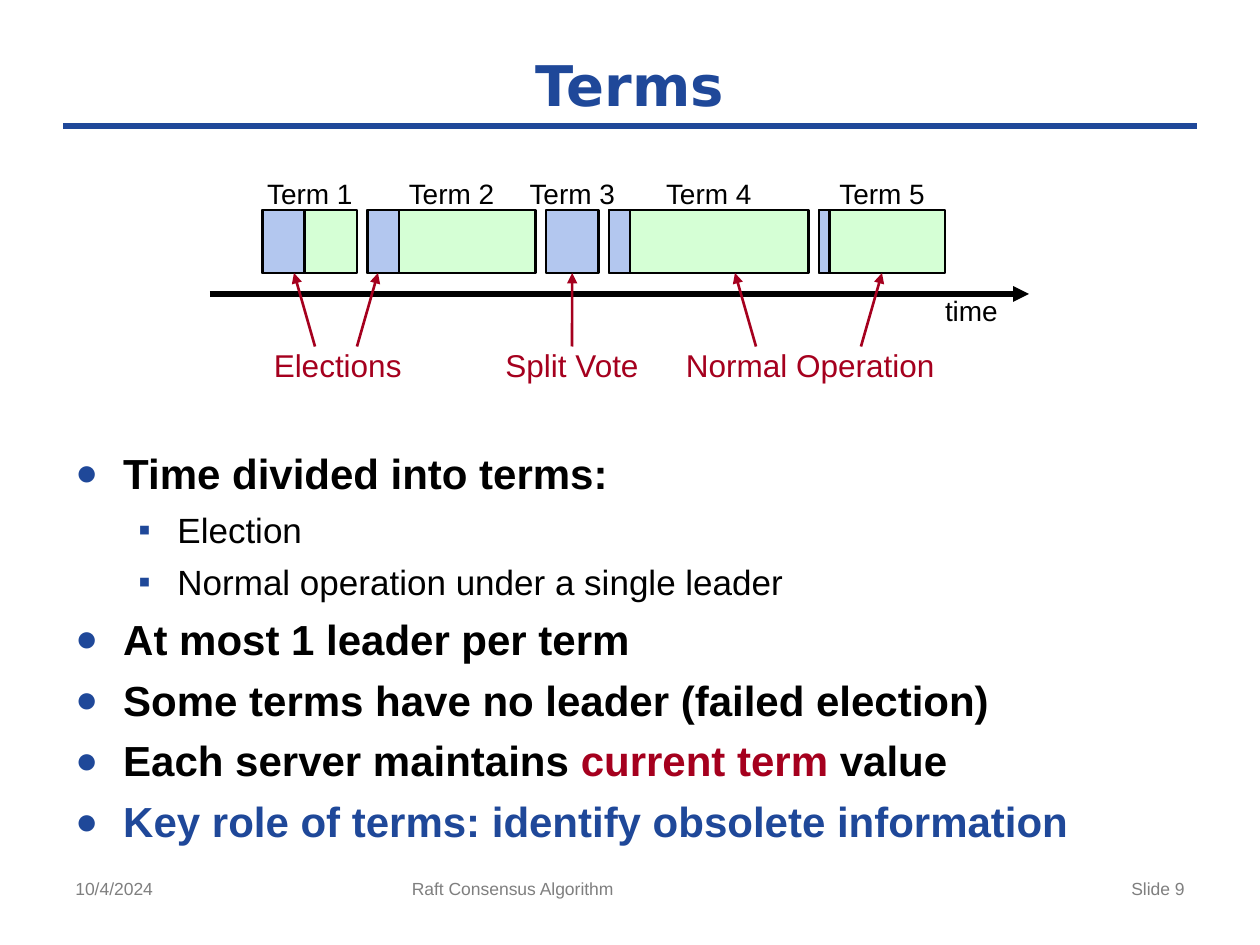
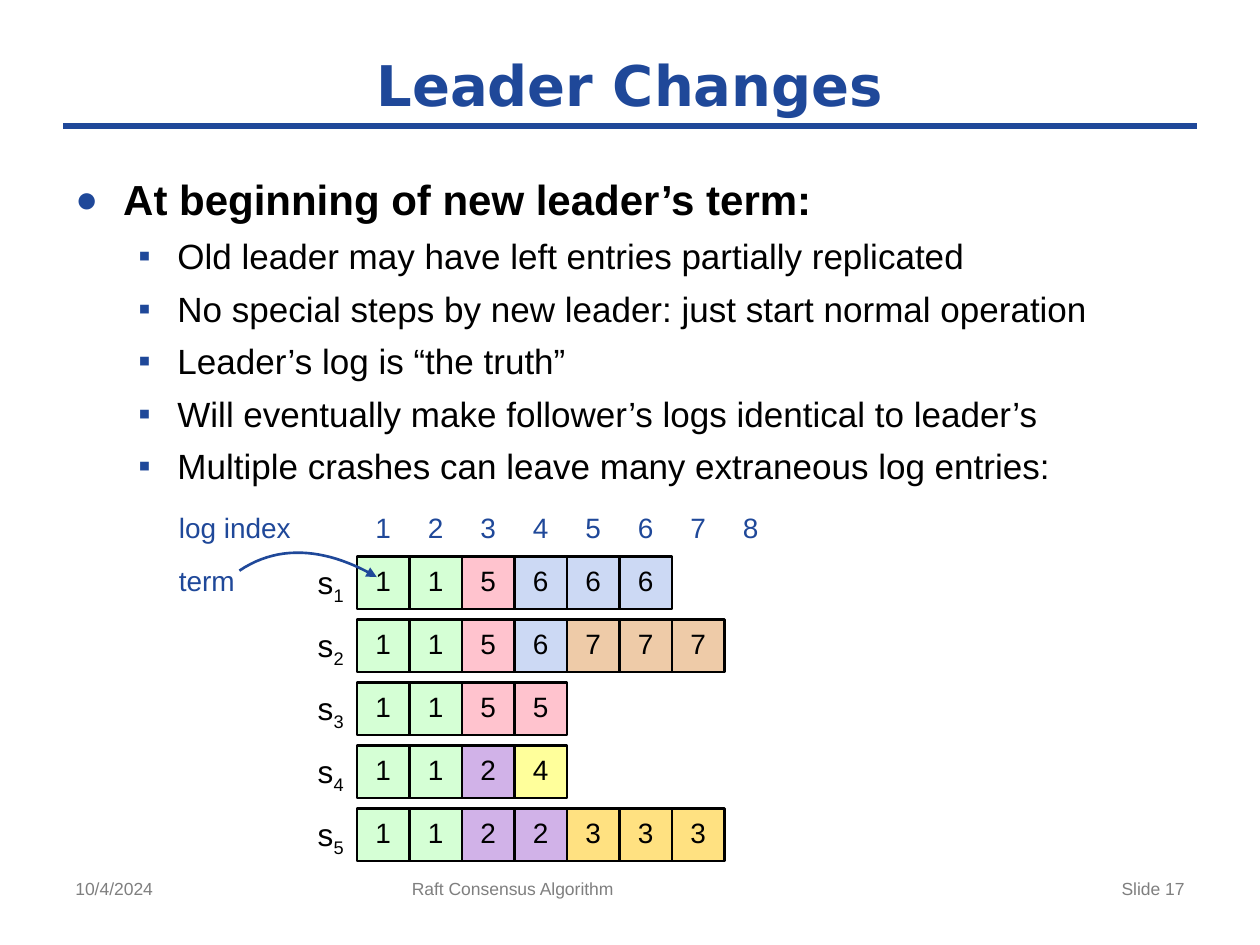
from dataclasses import dataclass

from lxml.etree import SubElement
from pptx import Presentation
from pptx.dml.color import RGBColor
from pptx.enum.shapes import MSO_CONNECTOR, MSO_SHAPE
from pptx.enum.text import MSO_ANCHOR, MSO_AUTO_SIZE, PP_ALIGN
from pptx.oxml.ns import qn
from pptx.util import Inches, Pt


# Theme
@dataclass(frozen=True)
class Theme:
    blue: str = "1F4899"
    red: str = "A5001E"
    black: str = "000000"
    gray: str = "7F7F7F"
    election: str = "B3C7EF"
    operation: str = "D5FFD5"
    body_font: str = "Arial"
    title_font: str = "DejaVu Sans"
    title_size: int = 32
    label_size: int = 16
    callout_size: int = 18
    footer_size: int = 10
    outline: float = 1.5


THEME = Theme()
TERM_COLORS = {1: "D5FFD5", 2: "D1B2E8", 3: "FFE181", 4: "FFFF9B",
               5: "FFC3CE", 6: "CCD9F4", 7: "EECBA8"}
BULLETS = (
    {"char": "●", "scale": 90, "left": 0.38, "hang": 0.38, "size": 24, "bold": True},
    {"char": "▪", "scale": 100, "left": 0.81, "hang": 0.31, "size": 20, "bold": False},
)
UNIT = 1 / 12  # drawing grid, in inches

# Content: each bullet is a level and a list of (text, colour) runs
FOOTERS = (
    ("10/4/2024", 0.5, 2.33, PP_ALIGN.LEFT),
    ("Raft Consensus Algorithm", 3.17, 3.75, PP_ALIGN.LEFT),
    ("Slide {number}", 7.17, 2.33, PP_ALIGN.RIGHT),
)
TERMS_BULLETS = [
    (0, [("Time divided into terms:", THEME.black)]),
    (1, [("Election", THEME.black)]),
    (1, [("Normal operation under a single leader", THEME.black)]),
    (0, [("At most 1 leader per term", THEME.black)]),
    (0, [("Some terms have no leader (failed election)", THEME.black)]),
    (0, [("Each server maintains ", THEME.black), ("current term ", THEME.red),
         ("value", THEME.black)]),
    (0, [("Key role of terms: identify obsolete information", THEME.blue)]),
]
LEADER_BULLETS = [
    (0, [("At beginning of new leader’s term:", THEME.black)]),
    (1, [("Old leader may have left entries partially replicated", THEME.black)]),
    (1, [("No special steps by new leader: just start normal operation", THEME.black)]),
    (1, [("Leader’s log is “the truth”", THEME.black)]),
    (1, [("Will eventually make follower’s logs identical to leader’s", THEME.black)]),
    (1, [("Multiple crashes can leave many extraneous log entries:", THEME.black)]),
]
# Term length and election length, in grid units
TERM_LENGTHS = [(9, 4), (16, 3), (5, 5), (19, 2), (12, 1)]
CALLOUTS = [("Elections", 2.68, 1.02), ("Split Vote", 4.54, 1.07),
            ("Normal Operation", 6.43, 1.99)]
# Arrow start and end columns in grid units
CALLOUT_ARROWS = [(30, 28), (34, 36), (72, 70), (82, 84)]
SERVER_LOGS = [
    [1, 1, 5, 6, 6, 6],
    [1, 1, 5, 6, 7, 7, 7],
    [1, 1, 5, 5],
    [1, 1, 2, 4],
    [1, 1, 2, 2, 3, 3, 3],
]
LOG_INDEXES = range(1, 9)
TERM_CURVE = [(1.9, 4.53), (2.24, 4.3), (2.63, 4.37), (2.99, 4.58)]


# Formatting helpers
def set_values(target, values):
    for name, value in values.items():
        setattr(target, name, value)


def add_run(paragraph, text, size, color, bold=False, font=THEME.body_font):
    run = paragraph.add_run()
    run.text = text
    set_values(run.font, {"size": Pt(size), "bold": bold, "name": font})
    run.font.color.rgb = RGBColor.from_string(color)
    return run


def set_line(shape, color, width):
    shape.line.color.rgb = RGBColor.from_string(color)
    shape.line.width = Pt(width)


def add_arrowhead(shape):
    line = shape.line._get_or_add_ln()
    SubElement(line, qn("a:tailEnd"), type="triangle")


def clear_margins(frame):
    set_values(frame, dict.fromkeys(
        ("margin_left", "margin_top", "margin_right", "margin_bottom"), 0))


def add_text(slide, text, left, top, width, height, size, color,
             align=PP_ALIGN.CENTER, inset=False):
    box = slide.shapes.add_textbox(*map(Inches, (left, top, width, height)))
    box.text_frame.word_wrap = True
    if not inset:
        clear_margins(box.text_frame)
    paragraph = box.text_frame.paragraphs[0]
    paragraph.alignment = align
    add_run(paragraph, text, size, color)
    return box


def add_box(slide, left, top, width, height, fill):
    box = slide.shapes.add_shape(
        MSO_SHAPE.RECTANGLE, *map(Inches, (left, top, width, height)))
    box.shadow.inherit = False
    box.fill.solid()
    box.fill.fore_color.rgb = RGBColor.from_string(fill)
    set_line(box, THEME.black, THEME.outline)
    return box


def add_line(slide, start, end, color, width, arrow=False):
    line = slide.shapes.add_connector(
        MSO_CONNECTOR.STRAIGHT, *map(Inches, (*start, *end)))
    set_line(line, color, width)
    if arrow:
        add_arrowhead(line)
    SubElement(line._element.spPr, qn("a:effectLst"))
    return line


# Shared slide parts
def add_slide(presentation, title, number):
    slide = presentation.slides.add_slide(presentation.slide_layouts[5])
    add_line(slide, (0.5, 1), (9.5, 1), THEME.blue, 4)
    placeholder = slide.shapes.title
    set_values(placeholder, {"left": Inches(0.5), "top": Inches(0.33),
                             "width": Inches(9), "height": Inches(0.67)})
    set_values(placeholder.text_frame, {
        "vertical_anchor": MSO_ANCHOR.MIDDLE, "auto_size": MSO_AUTO_SIZE.NONE,
        "word_wrap": True})
    paragraph = placeholder.text_frame.paragraphs[0]
    paragraph.alignment = PP_ALIGN.CENTER
    add_run(paragraph, title, THEME.title_size, THEME.blue, True, THEME.title_font)
    for text, left, width, align in FOOTERS:
        add_text(slide, text.format(number=number), left, 6.92, width, 0.43,
                 THEME.footer_size, THEME.gray, align, inset=True)
    return slide


def add_bullets(slide, bullets, top, height):
    box = slide.shapes.add_textbox(*map(Inches, (0.5, top, 9, height)))
    frame = box.text_frame
    frame.word_wrap = True
    for position, (level, runs) in enumerate(bullets):
        style = BULLETS[level]
        paragraph = frame.add_paragraph() if position else frame.paragraphs[0]
        set_values(paragraph, {"level": level,
                               "space_before": Pt(6 if position else 12)})
        properties = paragraph._p.get_or_add_pPr()
        properties.set("marL", str(Inches(style["left"])))
        properties.set("indent", str(-Inches(style["hang"])))
        color = SubElement(properties, qn("a:buClr"))
        SubElement(color, qn("a:srgbClr"), val=THEME.blue)
        SubElement(properties, qn("a:buSzPct"), val=str(style["scale"] * 1000))
        SubElement(properties, qn("a:buFont"), typeface=THEME.body_font)
        SubElement(properties, qn("a:buChar"), char=style["char"])
        for text, run_color in runs:
            add_run(paragraph, text, style["size"], run_color, style["bold"])


# Timeline of terms
def add_timeline(slide):
    top, height, label_width = 20 * UNIT, 6 * UNIT, 0.75
    callout_top = 33 * UNIT
    add_line(slide, (20 * UNIT, 28 * UNIT), (98 * UNIT, 28 * UNIT),
             THEME.black, 3, arrow=True)
    add_text(slide, "time", 7.46, 2.33, 0.5, 0.27, THEME.label_size, THEME.black)

    term_boxes = []
    column = 25
    for number, (length, election) in enumerate(TERM_LENGTHS, 1):
        left, width = column * UNIT, length * UNIT
        fill = THEME.operation if election < length else THEME.election
        term_boxes.append(add_box(slide, left, top, width, height, fill))
        if election < length:
            add_box(slide, left, top, election * UNIT, height, THEME.election)
        add_text(slide, f"Term {number}", left + (width - label_width) / 2, 1.4,
                 label_width, 0.27, THEME.label_size, THEME.black)
        column += length + 1

    callouts = {
        text: add_text(slide, text, center - width / 2, callout_top, width, 0.3,
                       THEME.callout_size, THEME.red)
        for text, center, width in CALLOUTS}
    for callout in callouts.values():
        callout.text_frame.word_wrap = False
    arrows = [
        add_line(slide, (start * UNIT, callout_top), (end * UNIT, top + height),
                 THEME.red, THEME.outline, arrow=True)
        for start, end in CALLOUT_ARROWS]
    arrows[-1].end_connect(term_boxes[4], 2)
    split_arrow = add_line(slide, (4.54, callout_top), (4.54, top + height),
                           THEME.red, THEME.outline, arrow=True)
    split_arrow.begin_connect(callouts["Split Vote"], 0)
    split_arrow.end_connect(term_boxes[2], 2)


# Server logs
def add_logs(slide):
    cell, left, top, pitch = 5 * UNIT, 34 * UNIT, 53 * UNIT, 6 * UNIT
    for text, label_top in (("log index", 4.05), ("term", 4.47)):
        add_text(slide, text, 1.42, label_top, 1.25, 0.27, THEME.label_size,
                 THEME.blue, PP_ALIGN.LEFT)
    for column, index in enumerate(LOG_INDEXES):
        add_text(slide, str(index), left + column * cell, 4, cell, 0.37,
                 THEME.label_size, THEME.blue, inset=True)
    for row, log in enumerate(SERVER_LOGS):
        row_top = top + row * pitch
        server = add_text(slide, "s", left - cell, row_top + 0.05, cell, 0.3,
                          THEME.callout_size, THEME.black)
        subscript = add_run(server.text_frame.paragraphs[0], str(row + 1),
                            THEME.callout_size, THEME.black)
        subscript._r.get_or_add_rPr().set("baseline", "-25000")
        for column, term in enumerate(log):
            entry = add_box(slide, left + column * cell, row_top, cell, cell,
                            TERM_COLORS[term])
            clear_margins(entry.text_frame)
            entry.text_frame.vertical_anchor = MSO_ANCHOR.MIDDLE
            paragraph = entry.text_frame.paragraphs[0]
            set_values(paragraph, {"alignment": PP_ALIGN.CENTER,
                                   "line_spacing": Pt(17)})
            add_run(paragraph, str(term), THEME.label_size, THEME.black)


def curve_point(points, t):
    weights = ((1 - t) ** 3, 3 * t * (1 - t) ** 2, 3 * t ** 2 * (1 - t), t ** 3)
    return tuple(Inches(sum(weight * value for weight, value in zip(weights, axis)))
                 for axis in zip(*points))


def add_term_curve(slide, steps=24):
    points = [curve_point(TERM_CURVE, step / steps) for step in range(steps + 1)]
    builder = slide.shapes.build_freeform(*points[0])
    builder.add_line_segments(points[1:], close=False)
    curve = builder.convert_to_shape()
    curve.shadow.inherit = False
    curve.fill.background()
    set_line(curve, THEME.blue, THEME.outline)
    add_arrowhead(curve)


def main():
    presentation = Presentation()
    set_values(presentation, {"slide_width": Inches(10), "slide_height": Inches(7.5)})

    terms_slide = add_slide(presentation, "Terms", 9)
    add_bullets(terms_slide, TERMS_BULLETS, 3.5, 3.2)
    add_timeline(terms_slide)

    leader_slide = add_slide(presentation, "Leader Changes", 17)
    add_bullets(leader_slide, LEADER_BULLETS, 1.33, 5.37)
    add_logs(leader_slide)
    add_term_curve(leader_slide)

    presentation.save("out.pptx")


if __name__ == "__main__":
    main()
